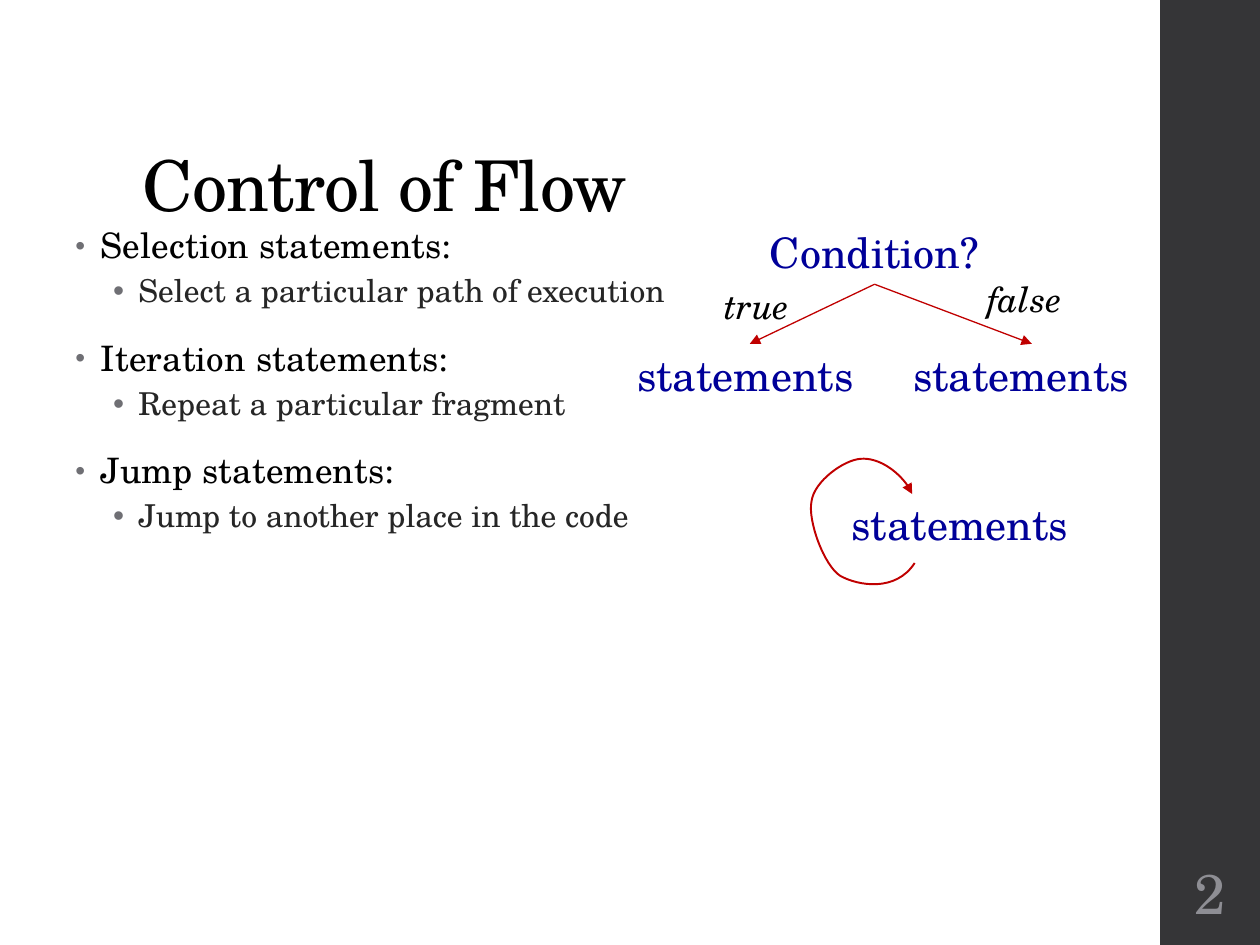
from lxml import etree
from pptx import Presentation
from pptx.dml.color import RGBColor
from pptx.enum import shapes, text
from pptx.oxml.ns import qn
from pptx.util import Cm, Pt

COLORS = {"sidebar": "353537", "title": "000000", "detail": "262626", "bullet": "6F6F74",
          "number": "8E8E94", "node": "000099", "arrow": "C00000"}
FONT = "TeX Gyre Schola"
TOPICS = [("Selection statements:", "Select a particular path of execution"),
          ("Iteration statements:", "Repeat a particular fragment"),
          ("Jump statements:", "Jump to another place in the code")]
LOOP = [(18.44, 11.35), (18.06, 11.94), (17.3, 11.81), (16.94, 11.61), (16.61, 11.4),
        (16.28, 10.49), (16.36, 10.11), (16.41, 9.7), (17.02, 9.27), (17.35, 9.25),
        (17.7, 9.22), (18.24, 9.58), (18.39, 9.96)]


def color(name):
    """Return the named colour."""
    return RGBColor.from_string(COLORS[name])


def style(para, size, name, italic=False, spacing=0):
    """Format all text of a paragraph."""
    font = para.font
    font.name, font.size, font.italic = FONT, Pt(size), italic
    font.color.rgb = color(name)
    if spacing:
        font._element.set("spc", str(spacing))


def add_title(page, words):
    """Place and format the title placeholder."""
    title = page.shapes.title
    title.left, title.top, title.width, title.height = Cm(2.62), Cm(1.02), Cm(20.19), Cm(3.68)
    frame = title.text_frame
    frame.text = words
    frame.auto_size = text.MSO_AUTO_SIZE.NONE
    frame.vertical_anchor = text.MSO_ANCHOR.BOTTOM
    para = frame.paragraphs[0]
    para.alignment, para.line_spacing = text.PP_ALIGN.LEFT, 0.9
    style(para, 40, "title", spacing=-50)


def add_sidebar(page):
    """Draw the dark band at the right edge."""
    band = page.shapes.add_shape(shapes.MSO_SHAPE.RECTANGLE, Cm(23.39), 0, Cm(2.01), Cm(19.05))
    band.shadow.inherit = False
    band.fill.solid()
    band.fill.fore_color.rgb = color("sidebar")
    band.line.fill.background()


def add_label(page, words, left, top, width, height, size, name, italic=False, centred=False):
    """Add a single-line text box."""
    box = page.shapes.add_textbox(Cm(left), Cm(top), Cm(width), Cm(height))
    frame = box.text_frame
    frame.text = words
    frame.word_wrap = True
    para = frame.paragraphs[0]
    para.alignment = text.PP_ALIGN.CENTER if centred else text.PP_ALIGN.LEFT
    style(para, size, name, italic)
    return box


def add_number(page, words):
    """Add the page number on the sidebar."""
    box = add_label(page, words, 23.44, 17.15, 1.91, 1.65, 32, "number", centred=True)
    frame = box.text_frame
    frame.margin_left = frame.margin_right = Cm(0.08)
    frame.vertical_anchor = text.MSO_ANCHOR.MIDDLE


def add_bullet(para, indent, percent):
    """Give a paragraph a hanging bullet."""
    props = para._p.get_or_add_pPr()
    props.set("marL", str(Cm(indent)))
    props.set("indent", str(-Cm(0.51)))
    tint = etree.SubElement(props, qn("a:buClr"))
    etree.SubElement(tint, qn("a:srgbClr"), val=COLORS["bullet"])
    etree.SubElement(props, qn("a:buSzPct"), val=str(percent * 1000))
    etree.SubElement(props, qn("a:buFont"), typeface="Arial")
    etree.SubElement(props, qn("a:buChar"), char="•")


def add_topics(page):
    """Add the two-level list of statement kinds."""
    box = page.shapes.add_textbox(Cm(1.27), Cm(4.45), Cm(16.51), Cm(12.57))
    frame = box.text_frame
    frame.word_wrap = True
    for index, (topic, detail) in enumerate(TOPICS):
        head = frame.add_paragraph() if index else frame.paragraphs[0]
        head.text = topic
        add_bullet(head, 0.51, 80)
        head.line_spacing, head.space_after = 0.95, Pt(2)
        head.space_before = Pt(14 if index else 0)
        style(head, 20, "title", spacing=10)
        para = frame.add_paragraph()
        para.text, para.level = detail, 1
        add_bullet(para, 1.27, 100)
        para.line_spacing, para.space_before, para.space_after = 0.9, Pt(3), Pt(3)
        style(para, 18, "detail")


def format_arrow(shape, width):
    """Set line colour, width and arrowhead."""
    shape.line.color.rgb = color("arrow")
    shape.line.width = Pt(width)
    etree.SubElement(shape.line._get_or_add_ln(), qn("a:tailEnd"), type="triangle")


def add_branch(page, source, target):
    """Join the bottom of one box to the top of another."""
    branch = page.shapes.add_connector(shapes.MSO_CONNECTOR.STRAIGHT, 0, 0, 0, 0)
    branch.begin_connect(source, 2)
    branch.end_connect(target, 0)
    format_arrow(branch, 0.75)
    etree.SubElement(branch._element.spPr, qn("a:effectLst"))


def add_loop(page):
    """Draw the curved repeat arrow."""
    start, *rest = [(Cm(x), Cm(y)) for x, y in LOOP]
    builder = page.shapes.build_freeform(*start)
    builder.add_line_segments(rest, close=False)
    loop = builder.convert_to_shape()
    outline = loop._element.find(".//" + qn("a:path"))
    segments = outline.findall(qn("a:lnTo"))
    for first in range(0, len(segments), 3):
        curve = etree.SubElement(outline, qn("a:cubicBezTo"))
        for segment in segments[first:first + 3]:
            curve.append(segment[0])
            outline.remove(segment)
    loop.fill.background()
    format_arrow(loop, 1.1)
    loop.shadow.inherit = False


def main():
    """Build the slide and save it."""
    deck = Presentation()
    deck.slide_width, deck.slide_height = Cm(25.4), Cm(19.05)
    page = deck.slides.add_slide(deck.slide_layouts[5])
    add_sidebar(page)
    add_title(page, "Control of Flow")
    add_topics(page)
    add_number(page, "2")
    condition = add_label(page, "Condition?", 15.09, 4.45, 5.08, 1.28, 24, "node", centred=True)
    for left, width in ((12.6, 5.03), (18.16, 5.28)):
        target = add_label(page, "statements", left, 6.93, width, 1.28, 24, "node")
        add_branch(page, condition, target)
    add_label(page, "true", 14.35, 5.61, 2.34, 1.12, 20, "title", italic=True)
    add_label(page, "false", 19.66, 5.46, 3, 1.12, 20, "title", italic=True)
    add_label(page, "statements", 16.92, 9.93, 5.23, 1.28, 24, "node")
    add_loop(page)
    deck.save("out.pptx")


if __name__ == "__main__":
    main()
